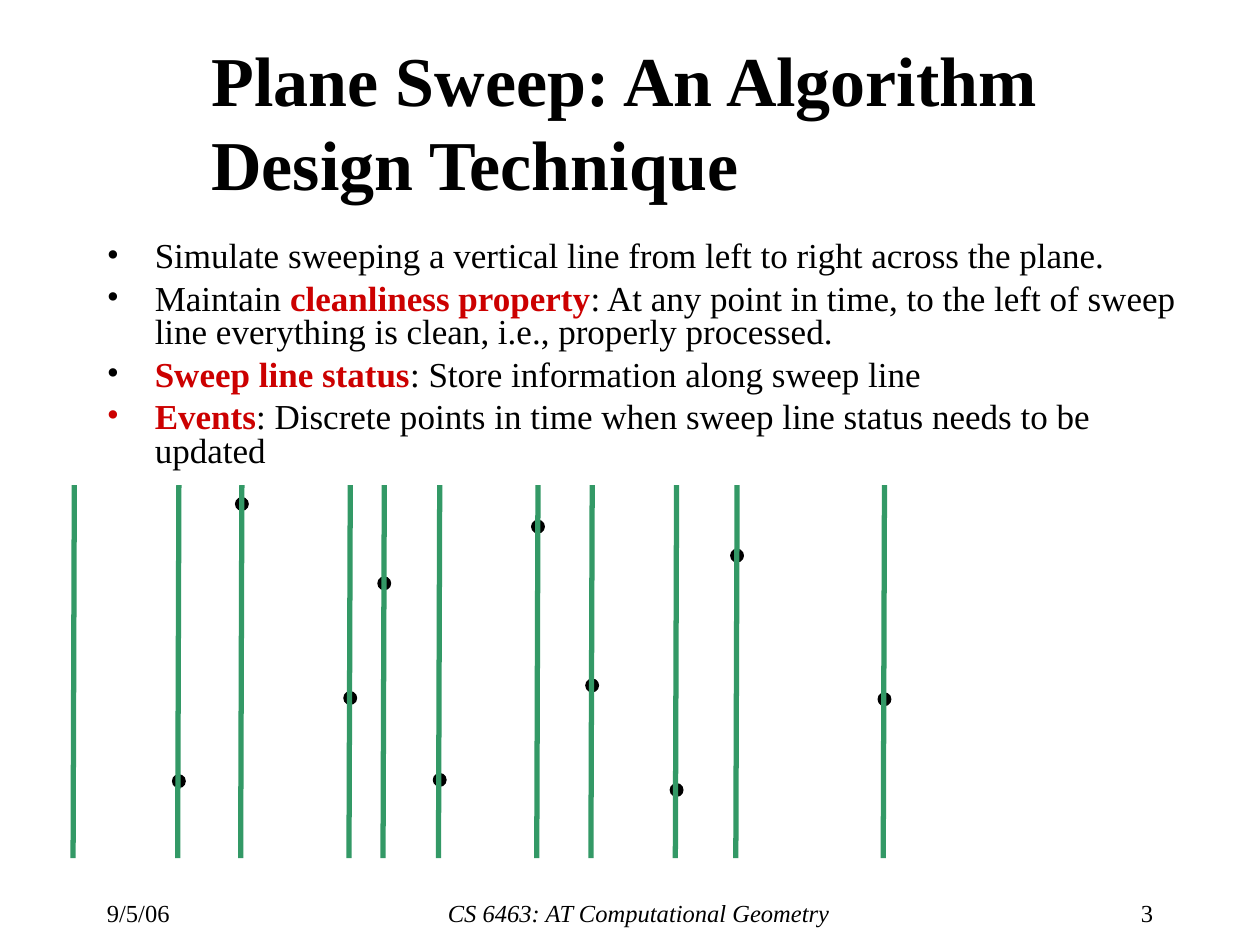
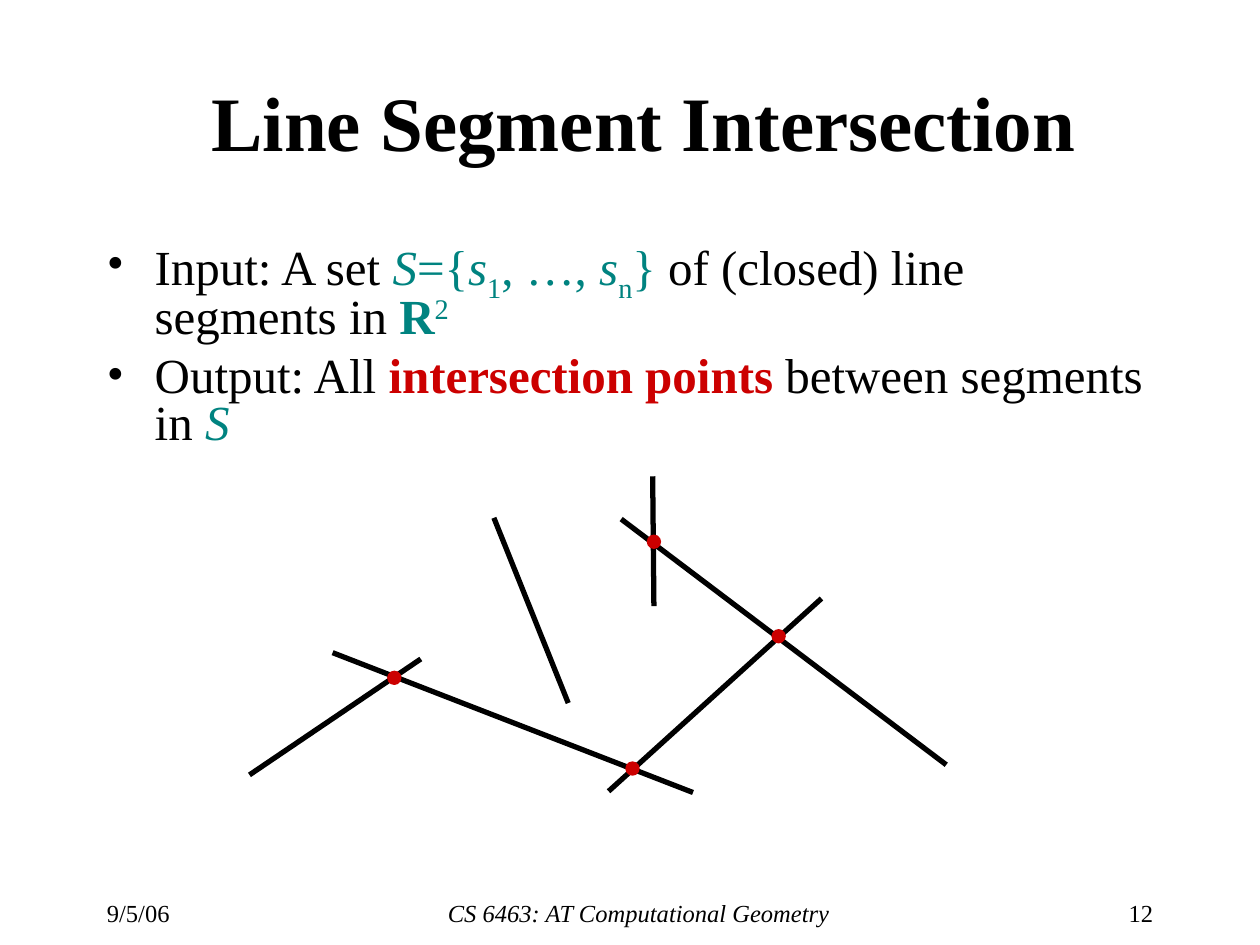
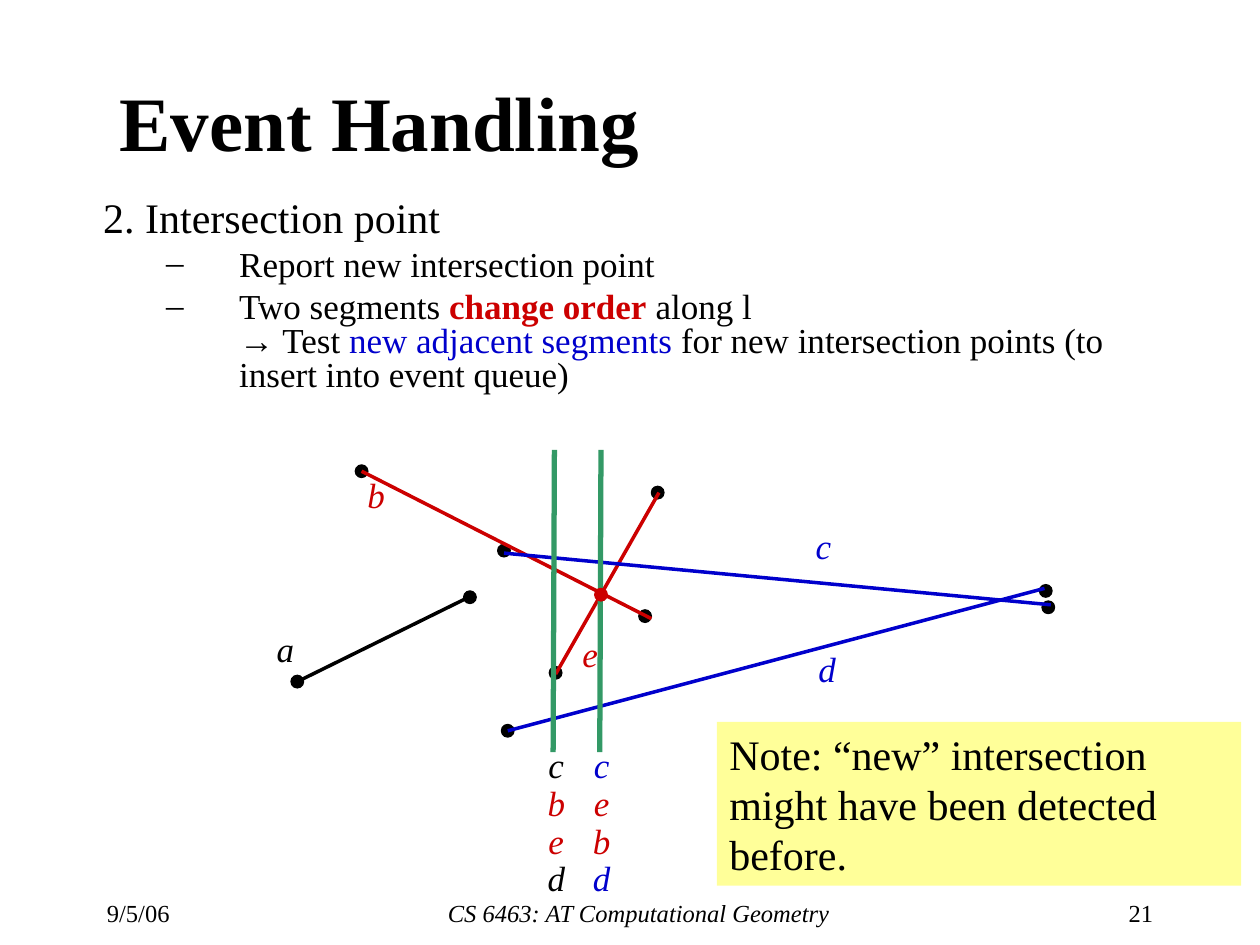
from lxml import etree
from pptx import Presentation
from pptx.dml.color import RGBColor
from pptx.enum.shapes import MSO_CONNECTOR, MSO_SHAPE
from pptx.enum.text import MSO_ANCHOR, PP_ALIGN
from pptx.oxml.ns import qn
from pptx.util import Inches, Pt

STRAIGHT = MSO_CONNECTOR.STRAIGHT
OVAL, RECTANGLE = MSO_SHAPE.OVAL, MSO_SHAPE.RECTANGLE
LEFT, CENTER, RIGHT = PP_ALIGN.LEFT, PP_ALIGN.CENTER, PP_ALIGN.RIGHT
TOP, MIDDLE = MSO_ANCHOR.TOP, MSO_ANCHOR.MIDDLE

FONT = "Times New Roman"
COLORS = {"black": "000000", "red": "CC0000", "blue": "0000CC",
          "teal": "008380", "green": "339966", "yellow": "FFFF99"}
DATE = "9/5/06"
COURSE = "CS 6463: AT Computational Geometry"
FOOTER_TOP, FOOTER_HEIGHT = 7.08, 0.25
DOT_SIZE = 0.1
SWEEP_LEAN = 0.01
LABEL_WIDTH, LABEL_HEIGHT = 0.43, 0.44

# A span is (text, colour, style letters, baseline in percent); the last three are optional.
# A paragraph is (size, bullet, bullet colour, left margin, first indent, space before, spans).
TECHNIQUE_BODY = [
    (20, "•", "black", 0.38, -0.38, 5,
     [("Simulate sweeping a vertical line from left to right across the plane.",)]),
    (20, "•", "black", 0.38, -0.38, 5,
     [("Maintain ",), ("cleanliness property", "red", "b"),
      (": At any point in time, to the left of sweep line everything is clean, "
       "i.e., properly processed.",)]),
    (20, "•", "black", 0.38, -0.38, 5,
     [("Sweep line status", "red", "b"), (": Store information along sweep line",)]),
    (20, "•", "red", 0.38, -0.38, 5,
     [("Events", "red", "b"),
      (": Discrete points in time when sweep line status needs to be updated",)]),
]
SWEEP_START = 0.59
SWEEP_EVENTS = [(1.42, 6.2), (1.92, 4), (2.78, 5.54), (3.05, 4.63), (3.49, 6.19),
                (4.27, 4.18), (4.7, 5.44), (5.37, 6.27), (5.85, 4.41), (7.02, 5.55)]

INTERSECTION_BODY = [
    (28, "•", "black", 0.38, -0.38, 7,
     [("Input: A set ",), ("S", "teal", "i"), ("={", "teal"), ("s", "teal", "i"),
      ("1", "teal", "", -25), (", …, ", "teal"), ("s", "teal", "i"),
      ("n", "teal", "", -25), ("}", "teal"), (" of (closed) line segments in ",),
      ("R", "teal", "b"), ("2", "teal", "", 30)]),
    (28, "•", "black", 0.38, -0.38, 7,
     [("Output: All ",), ("intersection points", "red", "b"),
      (" between segments in ",), ("S", "teal", "i")]),
]
SEGMENTS = [((1.98, 6.15), (3.34, 5.23)), ((2.64, 5.18), (5.5, 6.29)),
            ((5.19, 4.81), (5.18, 3.78)), ((3.92, 4.11), (4.51, 5.58)),
            ((4.83, 6.28), (6.52, 4.75)), ((4.93, 4.12), (7.51, 6.07))]
CROSSINGS = [(3.13, 5.38), (5.02, 6.1), (5.19, 4.3), (6.18, 5.05)]

EVENT_BODY = [
    (24, None, None, 0.67, -0.67, 6, [("2. Intersection point",)]),
    (20, "–", "black", 1.08, -0.58, 5, [("Report new intersection point",)]),
    (20, "–", "black", 1.08, -0.58, 5,
     [("Two segments ",), ("change order", "red", "b"), (" along l\n→ Test ",),
      ("new adjacent segments", "blue"),
      (" for new intersection points (to insert into event queue)",)]),
]
ENDPOINTS = [(4.41, 5.34), (5.22, 3.91), (4.03, 5.8), (8.3, 4.69), (8.32, 4.82),
             (4, 4.37), (3.73, 4.74), (2.87, 3.74), (2.36, 5.41), (5.12, 4.89)]
NAMED_SEGMENTS = [  # name, colour, from, to, label corner
    ("a", "black", (2.36, 5.41), (3.74, 4.73), (2.05, 4.93)),
    ("b", "red", (2.87, 3.74), (5.17, 4.91), (2.77, 3.71)),
    ("e", "red", (4.41, 5.35), (5.23, 3.91), (4.47, 4.97)),
    ("c", "blue", (4, 4.39), (8.34, 4.8), (6.32, 4.11)),
    ("d", "blue", (4.03, 5.8), (8.29, 4.67), (6.35, 5.09)),
]
STATUS_ORDERS = [  # sweep line x, list left, order along the line
    (4.77, 4.56, [("c\n", "blue", "i"), ("e\nb\n", "red", "i"), ("d", "blue", "i")]),
    (4.4, 4.2, [("c\n", "black", "i"), ("b\ne\n", "red", "i"), ("d", "black", "i")]),
]
EVENT_POINT = (4.77, 4.72)
NOTE = "Note: “new” intersection might have been detected before."


def rgb(color):
    return RGBColor.from_string(COLORS[color])


def add_span(para, size, text, color="black", style="", baseline=0):
    for number, line in enumerate(text.split("\n")):
        if number:
            para.add_line_break()
        if not line:
            continue
        span = para.add_run()
        span.text = line
        font = span.font
        font.name, font.size = FONT, Pt(size)
        font.bold, font.italic = "b" in style, "i" in style
        font.color.rgb = rgb(color)
        if baseline:
            font._element.set("baseline", str(baseline * 1000))


def add_text(page, left, top, width, height, size, spans, align=LEFT,
             anchor=TOP, before=0, spacing=1.0):
    box = page.shapes.add_textbox(*map(Inches, (left, top, width, height)))
    frame = box.text_frame
    frame.word_wrap, frame.vertical_anchor = True, anchor
    para = frame.paragraphs[0]
    para.alignment, para.space_before, para.line_spacing = align, Pt(before), spacing
    for span in spans:
        add_span(para, size, *span)


def add_body(page, left, top, width, height, paragraphs):
    box = page.shapes.add_textbox(*map(Inches, (left, top, width, height)))
    frame = box.text_frame
    frame.word_wrap = True
    for number, (size, bullet, color, margin, indent, before, spans) in enumerate(paragraphs):
        para = frame.add_paragraph() if number else frame.paragraphs[0]
        para.space_before, para.line_spacing = Pt(before), 0.8
        props = para._p.get_or_add_pPr()
        props.set("marL", str(Inches(margin)))
        props.set("indent", str(Inches(indent)))
        if bullet:
            bullet_color = etree.SubElement(props, qn("a:buClr"))
            etree.SubElement(bullet_color, qn("a:srgbClr"), val=COLORS[color])
            etree.SubElement(props, qn("a:buFont"), typeface=FONT)
            etree.SubElement(props, qn("a:buChar"), char=bullet)
        for span in spans:
            add_span(para, size, *span)


def add_dot(page, center, color="black", line_width=0.75):
    left, top = (Inches(value - DOT_SIZE / 2) for value in center)
    dot = page.shapes.add_shape(OVAL, left, top, Inches(DOT_SIZE), Inches(DOT_SIZE))
    dot.shadow.inherit = False
    dot.fill.solid()
    dot.fill.fore_color.rgb = rgb(color)
    dot.line.color.rgb = rgb(color)
    dot.line.width = Pt(line_width)


def add_line(page, start, end, color="black", width=3):
    line = page.shapes.add_connector(STRAIGHT, *map(Inches, (*start, *end)))
    line.line.color.rgb = rgb(color)
    line.line.width = Pt(width)
    etree.SubElement(line._element.spPr, qn("a:effectLst"))


def add_sweep_line(page, x, top, bottom):
    add_line(page, (x, top), (x - SWEEP_LEAN, bottom), "green")


def add_page(deck, title, number, title_left=1.58, title_size=44):
    """Add a blank slide with its title and footer."""
    page = deck.slides.add_slide(deck.slide_layouts[6])
    add_text(page, title_left, 0.33, 8.25, 1.25, title_size,
             [(title, "black", "b")], anchor=MIDDLE)
    for left, width, align, span in [(0.75, 0.95, LEFT, (DATE,)),
                                     (1.9, 6.34, CENTER, (COURSE, "black", "i")),
                                     (8.43, 0.82, RIGHT, (str(number),))]:
        add_text(page, left, FOOTER_TOP, width, FOOTER_HEIGHT, 14, [span], align)
    return page


def build_technique(deck):
    page = add_page(deck, "Plane Sweep: An Algorithm Design Technique", 3, title_size=40)
    add_body(page, 0.75, 1.87, 8.72, 2.62, TECHNIQUE_BODY)
    for event in SWEEP_EVENTS:
        add_dot(page, event)
    for x in [SWEEP_START] + [x for x, _ in SWEEP_EVENTS]:
        add_sweep_line(page, x, 3.85, 6.81)


def build_intersection(deck):
    page = add_page(deck, "Line Segment Intersection", 12)
    add_body(page, 0.75, 1.88, 8.5, 1.82, INTERSECTION_BODY)
    for start, end in SEGMENTS:
        add_line(page, start, end)
    for crossing in CROSSINGS:
        add_dot(page, crossing, "red", 1)


def build_event_handling(deck):
    page = add_page(deck, "Event Handling", 21, title_left=0.85)
    add_body(page, 0.72, 1.55, 8.72, 1.86, EVENT_BODY)
    for endpoint in ENDPOINTS:
        add_dot(page, endpoint)
    for name, color, start, end, corner in NAMED_SEGMENTS:
        add_line(page, start, end, color, 2)
        add_text(page, *corner, LABEL_WIDTH, LABEL_HEIGHT, 20,
                 [(name, color, "i")], CENTER, before=12.5)
    for x, left, order in STATUS_ORDERS:
        add_sweep_line(page, x, 3.57, 5.97)
        add_text(page, left, 5.89, LABEL_WIDTH, 1.3, 20, order, CENTER,
                 before=12.5, spacing=0.9)
    add_dot(page, EVENT_POINT, "red")

    note = page.shapes.add_shape(RECTANGLE, *map(Inches, (5.69, 5.73, 4.16, 1.3)))
    note.shadow.inherit = False
    note.fill.solid()
    note.fill.fore_color.rgb = rgb("yellow")
    note.line.fill.background()
    note.text_frame.word_wrap = True
    note.text_frame.vertical_anchor = TOP
    para = note.text_frame.paragraphs[0]
    para.alignment = LEFT
    add_span(para, 24, NOTE)


def main():
    deck = Presentation()
    deck.slide_width, deck.slide_height = Inches(10), Inches(7.5)
    build_technique(deck)
    build_intersection(deck)
    build_event_handling(deck)
    deck.save("out.pptx")


if __name__ == "__main__":
    main()
